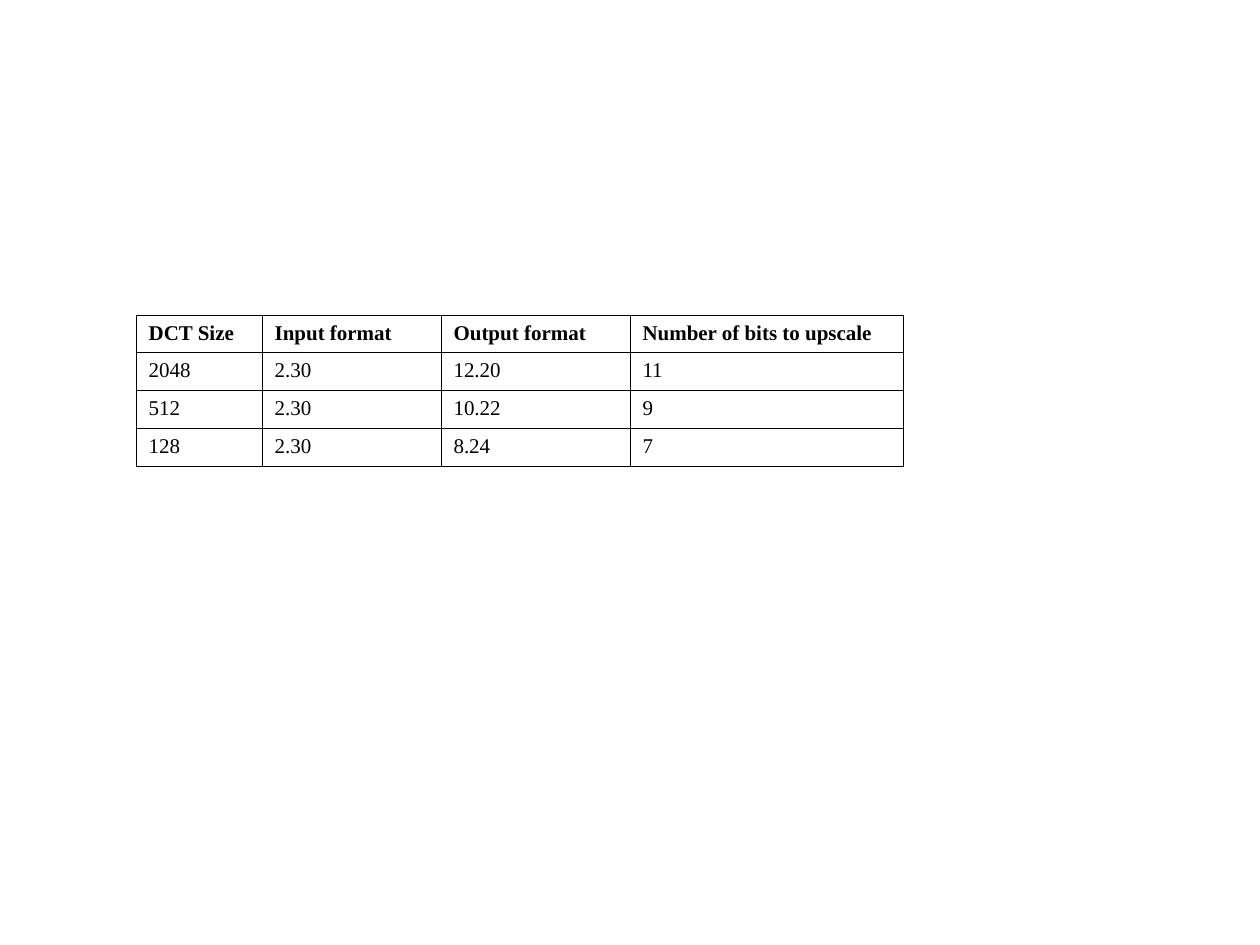
"""Build a slide with a table of DCT sizes and their fixed-point formats."""
import pptx
import pptx.dml.color
import pptx.enum.text
import pptx.oxml
import pptx.oxml.ns
import pptx.util

Inches = pptx.util.Inches
Pt = pptx.util.Pt

HEADINGS = ("DCT Size", "Input format", "Output format", "Number of bits to upscale")
FORMATS = [
    ("2048", "2.30", "12.20", "11"),
    ("512", "2.30", "10.22", "9"),
    ("128", "2.30", "8.24", "7"),
]
COLUMN_WIDTHS = (1, 1.42, 1.5, 2.17)
ROW_HEIGHT = 0.3
LEFT, TOP = 1.08, 2.5
THEME = {"font": "Times New Roman", "size": 12, "ink": "000000", "border": 0.45}


def write_text(cell, text, bold=False):
    cell.margin_left = cell.margin_right = Inches(0.1)
    cell.margin_top = cell.margin_bottom = Inches(0.05)
    cell.vertical_anchor = pptx.enum.text.MSO_ANCHOR.TOP
    paragraph = cell.text_frame.paragraphs[0]
    paragraph.alignment = pptx.enum.text.PP_ALIGN.LEFT
    run = paragraph.add_run()
    run.text = text
    run.font.name = THEME["font"]
    run.font.size = Pt(THEME["size"])
    run.font.bold = bold
    run.font.color.rgb = pptx.dml.color.RGBColor.from_string(THEME["ink"])


def draw_borders(cell):
    properties = cell._tc.get_or_add_tcPr()
    for side in ("lnL", "lnR", "lnT", "lnB"):
        properties.append(pptx.oxml.parse_xml(
            f'<a:{side} {pptx.oxml.ns.nsdecls("a")} w="{Pt(THEME["border"])}">'
            f'<a:solidFill><a:srgbClr val="{THEME["ink"]}"/></a:solidFill></a:{side}>'
        ))


def main():
    presentation = pptx.Presentation()
    presentation.slide_width, presentation.slide_height = Inches(10), Inches(7.5)
    slide = presentation.slides.add_slide(presentation.slide_layouts[6])

    rows = [HEADINGS, *FORMATS]
    formats_table = slide.shapes.add_table(
        len(rows), len(HEADINGS), Inches(LEFT), Inches(TOP),
        Inches(sum(COLUMN_WIDTHS)), Inches(ROW_HEIGHT * len(rows)),
    ).table
    formats_table.horz_banding = False
    for column, width in zip(formats_table.columns, COLUMN_WIDTHS):
        column.width = Inches(width)
    for row_index, (row, values) in enumerate(zip(formats_table.rows, rows)):
        row.height = Inches(ROW_HEIGHT)
        for cell, value in zip(row.cells, values):
            write_text(cell, value, bold=row_index == 0)
            draw_borders(cell)
            cell.fill.background()

    presentation.save("out.pptx")


if __name__ == "__main__":
    main()
